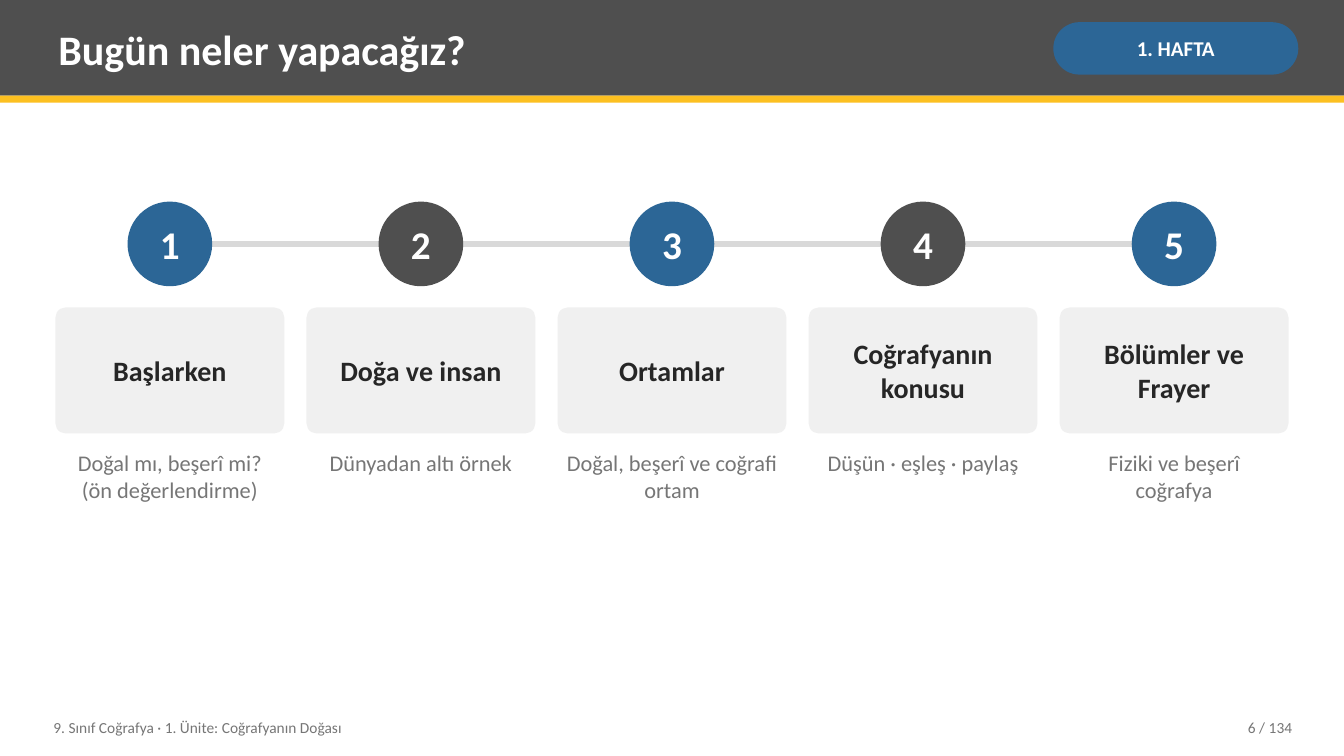
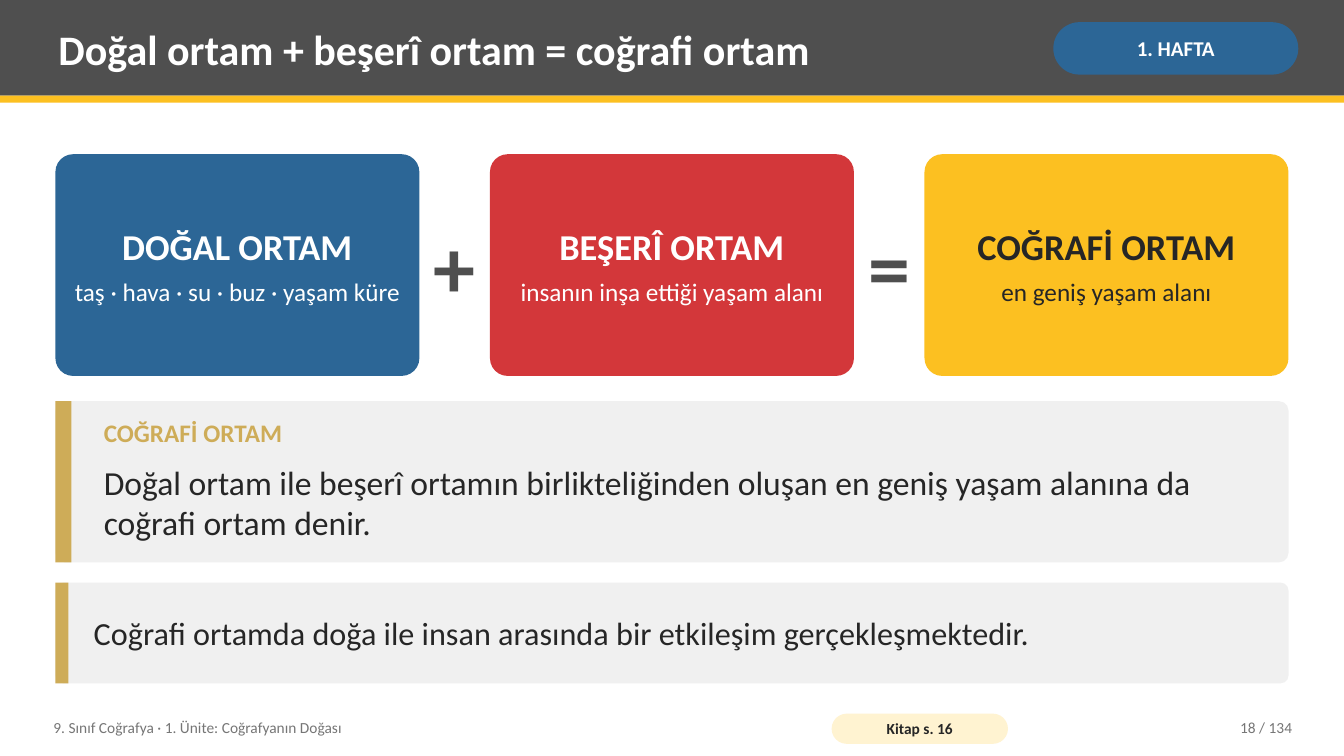
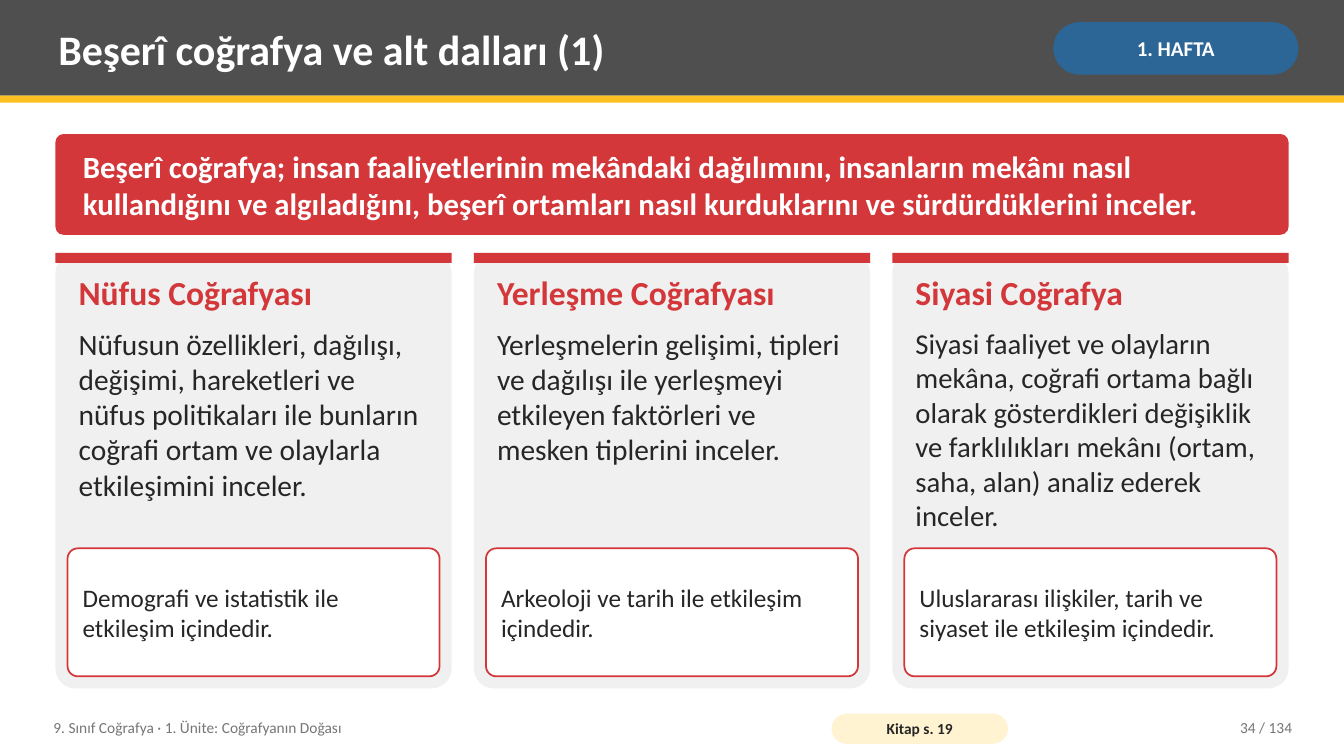
from dataclasses import dataclass
from typing import NamedTuple

from lxml.etree import SubElement
from pptx import Presentation
from pptx.dml.color import RGBColor
from pptx.enum.shapes import MSO_CONNECTOR, MSO_SHAPE
from pptx.enum.text import MSO_ANCHOR, PP_ALIGN
from pptx.oxml.ns import qn
from pptx.util import Pt

# Shared style; all lengths in points
FONT = "Calibri"
WHITE, INK, GREY, DARK = "FFFFFF", "262626", "767676", "4F4F4F"
BLUE, RED, YELLOW, GOLD = "2C6696", "D3373A", "FCC021", "CEAC58"
PANEL, CREAM, TRACK = "F0F0F0", "FFF3D1", "D9D9D9"
SLIDE_WIDTH, SLIDE_HEIGHT = 960, 540
MARGIN = 39.6
CONTENT_WIDTH = SLIDE_WIDTH - 2 * MARGIN
GAP = 15.84
TOTAL_PAGES = 134
UNIT = "9. Sınıf Coğrafya · 1. Ünite: Coğrafyanın Doğası"
WEEK = "1. HAFTA"

LEFT, CENTER, RIGHT = PP_ALIGN.LEFT, PP_ALIGN.CENTER, PP_ALIGN.RIGHT
TOP, MIDDLE = MSO_ANCHOR.TOP, MSO_ANCHOR.MIDDLE


class Box(NamedTuple):
    left: float
    top: float
    width: float
    height: float

    def lengths(self) -> list:
        return [Pt(value) for value in self]


@dataclass
class Step:
    title: str
    detail: str


@dataclass
class Term:
    title: str
    detail: str
    fill: str
    color: str = WHITE


@dataclass
class Branch:
    title: str
    body: str
    related: str
    body_size: float = 21


STEPS = [
    Step("Başlarken", "Doğal mı, beşerî mi? (ön değerlendirme)"),
    Step("Doğa ve insan", "Dünyadan altı örnek"),
    Step("Ortamlar", "Doğal, beşerî ve coğrafi ortam"),
    Step("Coğrafyanın konusu", "Düşün · eşleş · paylaş"),
    Step("Bölümler ve Frayer", "Fiziki ve beşerî coğrafya"),
]
TERMS = [
    Term("DOĞAL ORTAM", "taş · hava · su · buz · yaşam küre", BLUE),
    Term("BEŞERÎ ORTAM", "insanın inşa ettiği yaşam alanı", RED),
    Term("COĞRAFİ ORTAM", "en geniş yaşam alanı", YELLOW, INK),
]
BRANCHES = [
    Branch(
        "Nüfus Coğrafyası",
        "Nüfusun özellikleri, dağılışı, değişimi, hareketleri ve nüfus politikaları "
        "ile bunların coğrafi ortam ve olaylarla etkileşimini inceler.",
        "Demografi ve istatistik ile etkileşim içindedir.",
    ),
    Branch(
        "Yerleşme Coğrafyası",
        "Yerleşmelerin gelişimi, tipleri ve dağılışı ile yerleşmeyi etkileyen "
        "faktörleri ve mesken tiplerini inceler.",
        "Arkeoloji ve tarih ile etkileşim içindedir.",
    ),
    Branch(
        "Siyasi Coğrafya",
        "Siyasi faaliyet ve olayların mekâna, coğrafi ortama bağlı olarak "
        "gösterdikleri değişiklik ve farklılıkları mekânı (ortam, saha, alan) "
        "analiz ederek inceler.",
        "Uluslararası ilişkiler, tarih ve siyaset ile etkileşim içindedir.",
        20.5,
    ),
]


# Drawing helpers
def rgb(color: str) -> RGBColor:
    return RGBColor.from_string(color)


def set_frame(shape, anchor=MIDDLE, inset_x: float = 5.76, inset_y: float = 2.88,
              wrap: bool = True) -> None:
    frame = shape.text_frame
    frame.word_wrap = wrap
    frame.vertical_anchor = anchor
    frame.margin_left = frame.margin_right = Pt(inset_x)
    frame.margin_top = frame.margin_bottom = Pt(inset_y)


def write(shape, text: str, *, size: float, color: str = INK, bold: bool = False,
          align=LEFT, space_after: float = 0) -> None:
    """Fill the first paragraph, or add one when the shape already has text."""
    frame = shape.text_frame
    paragraph = frame.add_paragraph() if frame.text else frame.paragraphs[0]
    paragraph.alignment = align
    paragraph.space_after = Pt(space_after)
    run = paragraph.add_run()
    run.text = text
    run.font.name = FONT
    run.font.size = Pt(size)
    run.font.bold = bold
    run.font.color.rgb = rgb(color)


def add_block(slide, box: Box, fill: str, *, kind=MSO_SHAPE.RECTANGLE,
              corner: float = 0, outline: str = "", **frame):
    if corner:
        kind = MSO_SHAPE.ROUNDED_RECTANGLE
    shape = slide.shapes.add_shape(kind, *box.lengths())
    shape.shadow.inherit = False
    shape.fill.solid()
    shape.fill.fore_color.rgb = rgb(fill)
    if corner:
        shape.adjustments[0] = corner
    if outline:
        shape.line.color.rgb = rgb(outline)
        shape.line.width = Pt(1.25)
    else:
        shape.line.fill.background()
    set_frame(shape, **frame)
    return shape


def add_label(slide, box: Box, text: str, *, anchor=MIDDLE, **text_format) -> None:
    shape = slide.shapes.add_textbox(*box.lengths())
    set_frame(shape, anchor)
    write(shape, text, **text_format)


def add_track(slide, start: float, end: float, height: float) -> None:
    line = slide.shapes.add_connector(
        MSO_CONNECTOR.STRAIGHT, Pt(start), Pt(height), Pt(end), Pt(height))
    line.line.color.rgb = rgb(TRACK)
    line.line.width = Pt(4)
    SubElement(line._element.spPr, qn("a:effectLst"))


def columns(count: int, gap: float) -> tuple[float, list[float]]:
    """Width and left edges of equal columns across the content area."""
    width = (CONTENT_WIDTH - gap * (count - 1)) / count
    return width, [MARGIN + index * (width + gap) for index in range(count)]


# Header and footer of every slide
def add_page(presentation, title: str, page: int, book_page: int = 0):
    slide = presentation.slides.add_slide(presentation.slide_layouts[6])
    add_block(slide, Box(0, 0, SLIDE_WIDTH, 68.4), DARK)
    add_block(slide, Box(0, 68.4, SLIDE_WIDTH, 5), YELLOW)
    add_label(slide, Box(36, 5, 702, 59), title, size=30, color=WHITE, bold=True)
    week = add_block(slide, Box(752.4, 15.84, 175, 37.44), BLUE, corner=0.5,
                     inset_x=3.6, inset_y=1.44)
    write(week, WEEK, size=15, color=WHITE, bold=True, align=CENTER)

    add_label(slide, Box(32.4, 506.9, 547.2, 25.9), UNIT, size=11, color=GREY)
    if book_page:
        book = add_block(slide, Box(594, 509.76, 126, 21.6), CREAM, corner=0.5,
                         inset_x=2.88, inset_y=0)
        write(book, f"Kitap s. {book_page}", size=11, bold=True, align=CENTER)
    add_label(slide, Box(813.6, 506.9, 115.2, 25.9), f"{page} / {TOTAL_PAGES}",
              size=11, color=GREY, align=RIGHT)
    return slide


# Slide: lesson steps
def add_steps(presentation) -> None:
    slide = add_page(presentation, "Bugün neler yapacağız?", 6)
    width, lefts = columns(len(STEPS), GAP)
    top, diameter = 144, 60.5
    add_track(slide, lefts[0] + width / 2, lefts[-1] + width / 2, top + diameter / 2)
    for number, (step, left) in enumerate(zip(STEPS, lefts), 1):
        circle = add_block(
            slide, Box(left + (width - diameter) / 2, top, diameter, diameter),
            BLUE if number % 2 else DARK, kind=MSO_SHAPE.OVAL,
            inset_x=0, inset_y=0, wrap=False)
        write(circle, str(number), size=28, color=WHITE, bold=True, align=CENTER)
        card = add_block(slide, Box(left, 219.6, width, 90), PANEL, corner=0.08,
                         inset_y=5.76)
        write(card, step.title, size=20, bold=True, align=CENTER)
        add_label(slide, Box(left, 318.24, width, 136.8), step.detail, anchor=TOP,
                  size=16, color=GREY, align=CENTER)


# Slide: sum of two environments
def add_note(slide, top: float, height: float, bar_width: float, corner: float) -> None:
    add_block(slide, Box(MARGIN, top, CONTENT_WIDTH, height), PANEL, corner=corner)
    add_block(slide, Box(MARGIN, top, bar_width, height), GOLD)


def add_equation(presentation) -> None:
    slide = add_page(presentation, "Doğal ortam + beşerî ortam = coğrafi ortam", 18, 16)
    top, height, sign_width = 110.16, 158.4, 50.4
    width, lefts = columns(len(TERMS), sign_width)
    for term, left in zip(TERMS, lefts):
        card = add_block(slide, Box(left, top, width, height), term.fill, corner=0.08,
                         inset_x=10.08, inset_y=5.76)
        write(card, term.title, size=26, color=term.color, bold=True, align=CENTER,
              space_after=6)
        write(card, term.detail, size=18, color=term.color, align=CENTER)
    for sign, left in zip("+=", lefts):
        add_label(slide, Box(left + width, top, sign_width, height), sign,
                  size=60, color=DARK, bold=True, align=CENTER)

    add_note(slide, 286.56, 115.2, 11.52, 0.06)
    add_label(slide, Box(68.4, 295.2, 837.4, 32.4), "COĞRAFİ ORTAM", anchor=TOP,
              size=18, color=GOLD, bold=True)
    add_label(slide, Box(68.4, 326.16, 837.4, 64.8),
              "Doğal ortam ile beşerî ortamın birlikteliğinden oluşan en geniş "
              "yaşam alanına da coğrafi ortam denir.", size=24)
    add_note(slide, 416.16, 72, 9.36, 0.08)
    add_label(slide, Box(61.2, 416.16, 848.2, 72),
              "Coğrafi ortamda doğa ile insan arasında bir etkileşim "
              "gerçekleşmektedir.", size=23)


# Slide: branches of human geography
def add_branches(presentation) -> None:
    slide = add_page(presentation, "Beşerî coğrafya ve alt dalları (1)", 34, 19)
    banner = add_block(slide, Box(MARGIN, 95.76, CONTENT_WIDTH, 72), RED, corner=0.08,
                       inset_x=18, inset_y=5.76)
    write(banner,
          "Beşerî coğrafya; insan faaliyetlerinin mekândaki dağılımını, insanların "
          "mekânı nasıl kullandığını ve algıladığını, beşerî ortamları nasıl "
          "kurduklarını ve sürdürdüklerini inceler.", size=22, color=WHITE, bold=True)

    top, padding, inset = 180.72, 10.8, 8.64
    width, lefts = columns(len(BRANCHES), GAP)
    text_width = width - 2 * padding
    for branch, left in zip(BRANCHES, lefts):
        add_block(slide, Box(left, top, width, 311), PANEL, corner=0.05)
        add_block(slide, Box(left, top, width, 7.2), RED)
        add_label(slide, Box(left + padding, 191.52, text_width, 39.6), branch.title,
                  anchor=TOP, size=24, color=RED, bold=True)
        add_label(slide, Box(left + padding, 229.68, text_width, 157), branch.body,
                  anchor=TOP, size=branch.body_size)
        related = add_block(
            slide, Box(left + inset, 391.68, width - 2 * inset, 91.44), WHITE,
            corner=0.08, outline=RED, inset_x=inset, inset_y=5.76)
        write(related, branch.related, size=18)


def main() -> None:
    presentation = Presentation()
    presentation.slide_width = Pt(SLIDE_WIDTH)
    presentation.slide_height = Pt(SLIDE_HEIGHT)
    add_steps(presentation)
    add_equation(presentation)
    add_branches(presentation)
    presentation.save("out.pptx")


if __name__ == "__main__":
    main()
